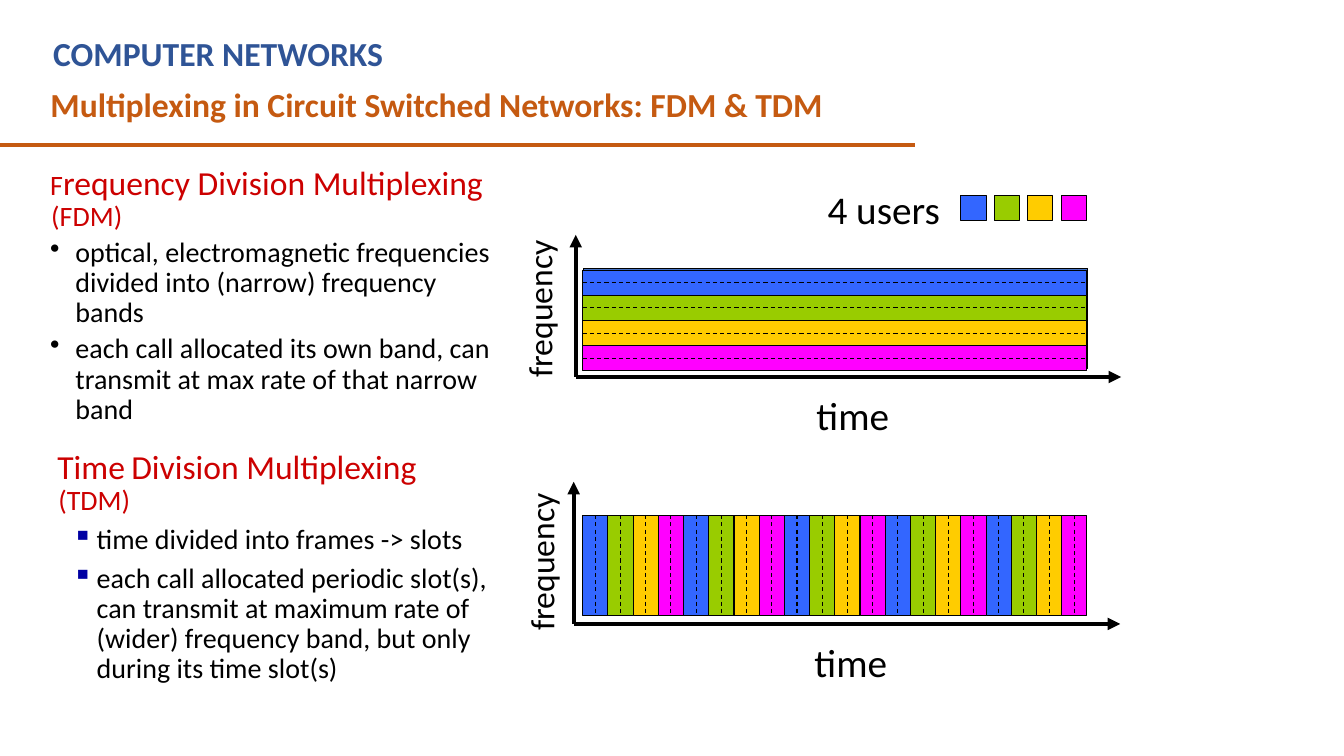
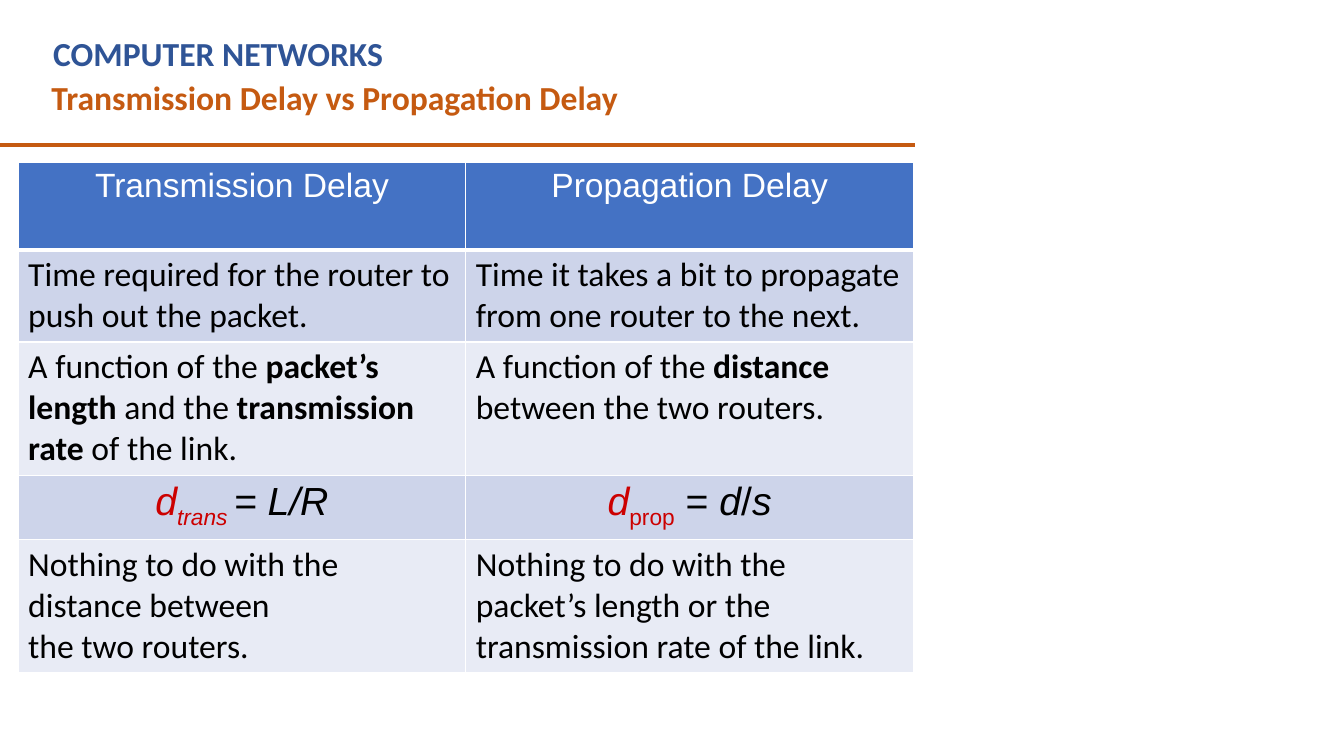
from dataclasses import dataclass

from lxml import etree
from pptx import Presentation
from pptx.dml.color import RGBColor
from pptx.enum.dml import MSO_LINE
from pptx.enum.shapes import MSO_CONNECTOR, MSO_SHAPE
from pptx.enum.text import MSO_ANCHOR, MSO_AUTO_SIZE, PP_ALIGN
from pptx.oxml.ns import qn
from pptx.util import Pt

STRAIGHT = MSO_CONNECTOR.STRAIGHT
RECTANGLE = MSO_SHAPE.RECTANGLE
DASH = MSO_LINE.DASH
TOP = MSO_ANCHOR.TOP
NO_FIT = MSO_AUTO_SIZE.NONE
LEFT, CENTER = PP_ALIGN.LEFT, PP_ALIGN.CENTER

PX = 9144  # EMU, 100 px to the inch
TITLE_ONLY = 5
SIDE_TOP, SIDE_LEFT, SIDE_BOTTOM, SIDE_RIGHT = range(4)


@dataclass(frozen=True)
class Theme:
    font: str = "Calibri"
    alt_font: str = "Arial"
    course: str = "2F5496"
    title: str = "C55A11"
    text: str = "000000"
    accent: str = "CC0000"
    square_bullet: str = "0000A3"
    white: str = "FFFFFF"
    header: str = "4472C4"
    row_fills: tuple = ("CDD4EA", "E8EBF5")
    users: tuple = ("3366FF", "99CC00", "FFCC00", "FF00FF")
    body_size: int = 20
    head_size: int = 24
    label_size: int = 28
    thin: float = 0.75
    thick: int = 3


def rgb(value):
    return RGBColor.from_string(value)


class Deck:
    def __init__(self, theme):
        self.theme = theme
        self.prs = Presentation()
        self.prs.slide_width, self.prs.slide_height = 1333 * PX, 750 * PX
        self.slide = None

    def new_slide(self, title, title_box):
        t = self.theme
        layout = self.prs.slide_layouts[TITLE_ONLY]
        self.slide = self.prs.slides.add_slide(layout)
        self.line(0, 144, 908, 144, t.thick, t.title)
        sp = self.slide.shapes.title
        sp.left, sp.top, sp.width, sp.height = (v * PX for v in title_box)
        tf = self.frame(sp)
        tf.paragraphs[0].alignment = LEFT
        self.run(tf.paragraphs[0], title, color=t.title, bold=True)
        tf = self.textbox(43, 28, 820, 50)
        self.run(tf.paragraphs[0], "COMPUTER NETWORKS", color=t.course, bold=True)

    def frame(self, sp, wrap=True):
        tf = sp.text_frame
        tf.word_wrap = wrap
        tf.auto_size = NO_FIT
        tf.vertical_anchor = TOP
        return tf

    def run(self, p, text, size=None, color=None, font=None,
            bold=False, italic=False, baseline=None):
        r = p.add_run()
        r.text = text
        f = r.font
        f.name = font or self.theme.font
        f.size = Pt(size or self.theme.head_size)
        f.bold, f.italic = bold, italic
        f.color.rgb = rgb(color or self.theme.text)
        if baseline:
            r._r.get_or_add_rPr().set("baseline", str(baseline * 1000))

    def textbox(self, x, y, w, h, wrap=True):
        sp = self.slide.shapes.add_textbox(x * PX, y * PX, w * PX, h * PX)
        return self.frame(sp, wrap)

    def label(self, x, y, w, h, text, size, rotation=0):
        sp = self.slide.shapes.add_textbox(x * PX, y * PX, w * PX, h * PX)
        sp.rotation = rotation
        self.run(self.frame(sp, wrap=False).paragraphs[0], text, size)

    def rect(self, x, y, w, h, fill):
        sp = self.slide.shapes.add_shape(RECTANGLE, x * PX, y * PX, w * PX, h * PX)
        sp.shadow.inherit = False
        sp.fill.solid()
        sp.fill.fore_color.rgb = rgb(fill)
        sp.line.color.rgb = rgb(self.theme.text)
        sp.line.width = Pt(self.theme.thin)
        return sp

    def line(self, x1, y1, x2, y2, width, color=None, arrow=False):
        cx = self.slide.shapes.add_connector(
            STRAIGHT, x1 * PX, y1 * PX, x2 * PX, y2 * PX)
        cx.line.width = Pt(width)
        cx.line.color.rgb = rgb(color or self.theme.text)
        if arrow:
            etree.SubElement(cx.line._get_or_add_ln(), qn("a:tailEnd"), type="triangle")
        etree.SubElement(cx._element.spPr, qn("a:effectLst"))
        return cx

    def midline(self, sp, begin_side, end_side):
        """Dashed line through a rectangle, joined to two opposite sides."""
        cx = self.line(0, 0, 1, 1, self.theme.thin)
        cx.line.dash_style = DASH
        cx.begin_connect(sp, begin_side)
        cx.end_connect(sp, end_side)

    def axes(self, x, y, x_end, label_x, label_y):
        t = self.theme
        self.line(x, y, x, y - 141, t.thick, arrow=True)
        self.line(x, y, x_end, y, t.thick, arrow=True)
        self.label(label_x, label_y, 158, 51, "frequency", t.head_size, 270)
        self.label(x + 229, y + 9, 93, 57, "time", t.label_size)

    def indent(self, p, margin, hanging):
        pPr = p._p.get_or_add_pPr()
        pPr.set("marL", str(margin * PX))
        pPr.set("indent", str(-hanging * PX))
        return pPr

    def topic(self, box, heading, items, bullet, bullet_color, margin, hanging, gap):
        """Heading runs as (text, size), followed by a bulleted list."""
        t = self.theme
        tf = self.textbox(*box)
        p = tf.paragraphs[0]
        self.indent(p, 1, 1)
        p.line_spacing = 0.9
        for text, size in heading:
            self.run(p, text, size, t.accent)
        for item in items:
            p = tf.add_paragraph()
            pPr = self.indent(p, margin, hanging)
            clr = etree.SubElement(pPr, qn("a:buClr"))
            etree.SubElement(clr, qn("a:srgbClr"), val=bullet_color)
            etree.SubElement(pPr, qn("a:buChar"), char=bullet)
            p.line_spacing = 0.9
            p.space_before = Pt(gap)
            self.run(p, item, t.body_size)

    def borders(self, cell, top, bottom):
        tcPr = cell._tc.get_or_add_tcPr()
        for side, width in (("L", 1), ("R", 1), ("T", top), ("B", bottom)):
            ln = etree.SubElement(tcPr, qn("a:ln" + side), w=str(Pt(width)))
            fill = etree.SubElement(ln, qn("a:solidFill"))
            etree.SubElement(fill, qn("a:srgbClr"), val=self.theme.white)

    def table(self, x, y, col_width, heights, rows):
        """Each cell is (alignment, paragraphs); a paragraph is a list of (text, style)."""
        t = self.theme
        cols = len(rows[0])
        tbl = self.slide.shapes.add_table(
            len(rows), cols, x * PX, y * PX,
            cols * col_width * PX, sum(heights) * PX).table
        for column in tbl.columns:
            column.width = col_width * PX
        for i, (height, row) in enumerate(zip(heights, rows)):
            tbl.rows[i].height = height * PX
            for j, (align, paragraphs) in enumerate(row):
                cell = tbl.cell(i, j)
                self.borders(cell, 3 if i == 1 else 1, 3 if i == 0 else 1)
                cell.fill.solid()
                cell.fill.fore_color.rgb = rgb(t.row_fills[(i - 1) % 2] if i else t.header)
                tf = cell.text_frame
                for k, runs in enumerate(paragraphs):
                    p = tf.add_paragraph() if k else tf.paragraphs[0]
                    p.alignment = align
                    for text, style in runs:
                        self.run(p, text, **style)


def multiplexing_slide(deck):
    t = deck.theme
    deck.new_slide("Multiplexing in Circuit Switched Networks: FDM & TDM",
                   (40, 78, 875, 50))
    left, length, band, height = 578, 500, 25, 100
    fdm_top, tdm_top = 268, 511

    deck.axes(571, 374, 1112, 456, 280)
    deck.rect(left + 1, fdm_top - 2, length, height, t.header)
    for i, color in enumerate(t.users):
        sp = deck.rect(left, fdm_top + i * band, length, band, color)
        deck.midline(sp, SIDE_LEFT, SIDE_RIGHT)

    deck.axes(569, 619, 1111, 458, 531)
    for i in range(length // band):
        color = t.users[i % len(t.users)]
        sp = deck.rect(left + i * band, tdm_top, band, height, color)
        deck.midline(sp, SIDE_TOP, SIDE_BOTTOM)

    deck.label(811, 179, 133, 57, "4 users", t.label_size)
    for i, color in enumerate(t.users):
        deck.rect(953 + i * 100 // 3, 194, band, band, color)

    deck.topic(
        (40, 160, 464, 314),
        [("F", t.body_size), ("requency Division Multiplexing ", t.head_size),
         ("(FDM)", t.body_size)],
        ["optical, electromagnetic frequencies divided into (narrow) frequency bands",
         "each call allocated its own band, can transmit at max rate of that narrow band"],
        "•", t.text, margin=25, hanging=25, gap=4)
    deck.topic(
        (47, 442, 448, 270),
        [("Time", t.head_size), (" ", t.body_size),
         ("Division Multiplexing ", t.head_size), ("(TDM)", t.body_size)],
        ["time divided into frames -> slots",
         "each call allocated periodic slot(s), can transmit at maximum rate of "
         "(wider) frequency band, but only during its time slot(s)"],
        "▪", t.square_bullet, margin=39, hanging=24, gap=6)


def delay_slide(deck):
    t = deck.theme
    deck.new_slide("Transmission Delay vs Propagation Delay", (41, 71, 875, 50))
    plain, bold = {}, {"bold": True}
    head = {"font": t.alt_font, "color": t.white}
    upright = {"font": t.alt_font, "size": t.label_size}
    slanted = {**upright, "italic": True}
    symbol = {**slanted, "color": t.accent}
    subscript = {**symbol, "baseline": -25}

    def words(*lines):
        return LEFT, [[(line, plain)] for line in lines]

    rows = [
        [(CENTER, [[("Transmission Delay", head)]]),
         (CENTER, [[("Propagation Delay", head)]])],
        [words("Time required for the router to push out the packet."),
         words("Time it takes a bit to propagate from one router to the next.")],
        [(LEFT, [[("A function of the", plain), (" packet’s length", bold),
                  (" and the ", plain), ("transmission rate", bold),
                  (" of the link.", plain)]]),
         (LEFT, [[("A function of the ", plain), ("distance", bold),
                  (" between the two routers.", plain)]])],
        [(CENTER, [[("d", symbol), ("trans ", subscript), ("= L/R", slanted)]]),
         (CENTER, [[("d", symbol), ("prop", {**subscript, "italic": False}),
                    (" = ", upright), ("d", slanted), ("/", upright),
                    ("s", slanted)]])],
        [words("Nothing to do with the distance between", "the two routers."),
         words("Nothing to do with the packet’s length or the transmission rate "
               "of the link.")],
    ]
    deck.table(18, 161, 444, (87, 89, 130, 64, 130), rows)


def main():
    deck = Deck(Theme())
    multiplexing_slide(deck)
    delay_slide(deck)
    deck.prs.save("out.pptx")


if __name__ == "__main__":
    main()
